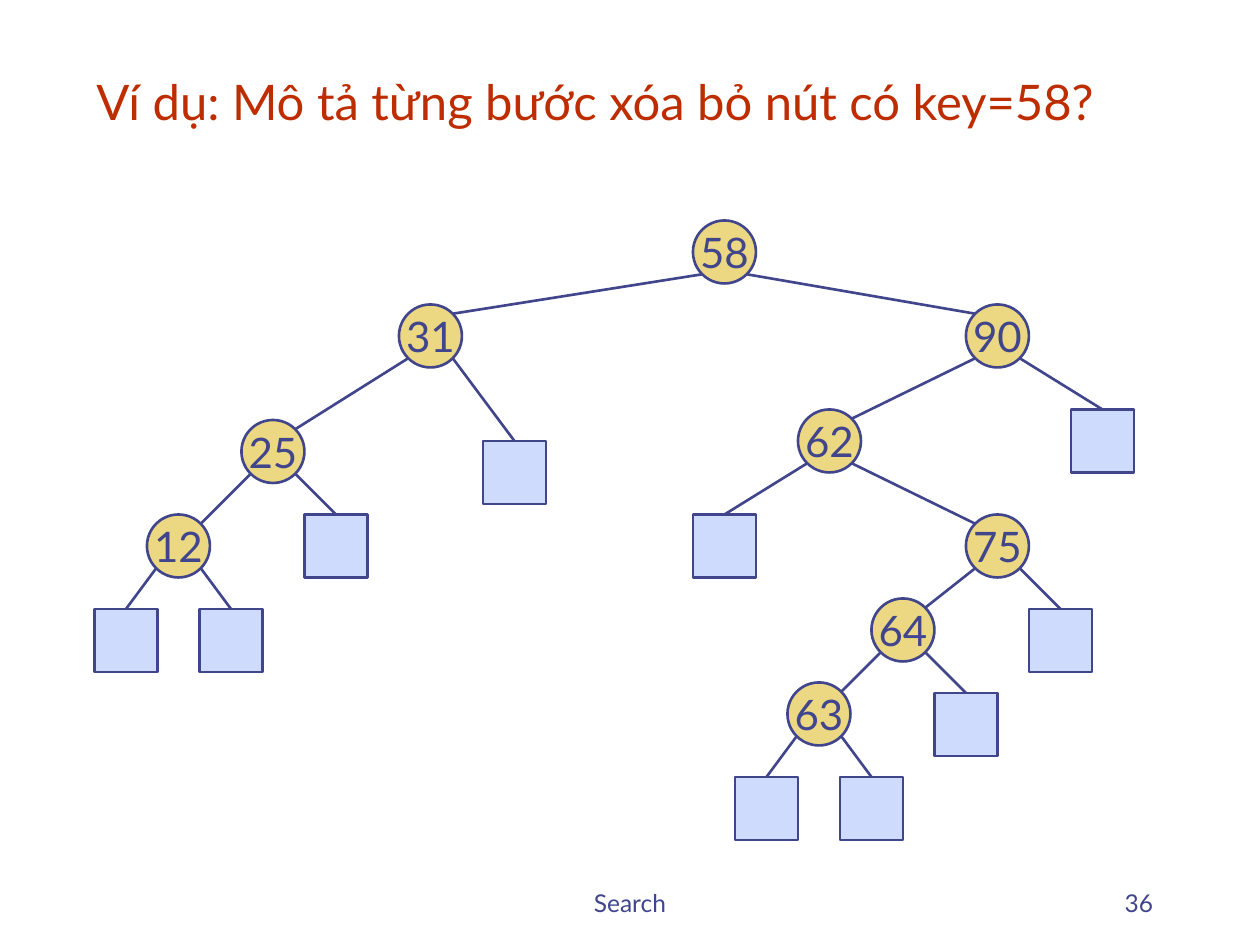
import math
from pptx import Presentation
from pptx.dml.color import RGBColor
from pptx.enum.shapes import MSO_CONNECTOR, MSO_SHAPE
from pptx.enum.text import MSO_ANCHOR, PP_ALIGN
from pptx.oxml.ns import qn
from pptx.util import Pt
from lxml import etree

LEFT, CENTER, RIGHT = PP_ALIGN.LEFT, PP_ALIGN.CENTER, PP_ALIGN.RIGHT
OVAL, SQUARE = MSO_SHAPE.OVAL, MSO_SHAPE.RECTANGLE
MIDDLE, BOTTOM = MSO_ANCHOR.MIDDLE, MSO_ANCHOR.BOTTOM
STRAIGHT = MSO_CONNECTOR.STRAIGHT

COLORS = {"ink": "40458C", "title": "BE2D00", "node": "ECD882", "leaf": "CFDBFD"}
FONT = "Lato"
GRID = 6
SIZE = 36
REACH = SIZE / 2 * math.sin(math.pi / 4)
LEAF_TOP = 0

TEXTS = [
    ("Ví dụ: Mô tả từng bước xóa bỏ nút có key=58?", (48, 24, 612, 54), 28, "title", LEFT),
    ("Search", (246, 492, 228, 36), 14, "ink", CENTER),
    ("36", (516, 492, 150, 36), 14, "ink", RIGHT),
]

# Each entry: key -> (grid column, grid row) of the centre
NODES = {
    58: (69, 24), 31: (41, 32), 90: (95, 32), 25: (26, 43), 62: (79, 42),
    12: (17, 52), 75: (95, 52), 64: (86, 60), 63: (78, 68),
}
CHILDREN = [(58, 31), (58, 90), (31, 25), (90, 62), (25, 12), (62, 75), (75, 64), (64, 63)]
LEAVES = [
    (12, (12, 61)), (12, (22, 61)), (25, (32, 52)), (31, (49, 45)), (62, (69, 52)),
    (90, (105, 42)), (75, (101, 61)), (64, (92, 69)), (63, (73, 77)), (63, (83, 77)),
]


def rgb(name):
    return RGBColor.from_string(COLORS[name])


def write(tf, text, size, color, align, anchor):
    tf.text = text
    tf.vertical_anchor = anchor
    p = tf.paragraphs[0]
    p.alignment = align
    font = p.runs[0].font
    font.name, font.size, font.color.rgb = FONT, Pt(size), rgb(color)


def add_mark(shapes, kind, cell, fill):
    x, y = (GRID * v - SIZE / 2 for v in cell)
    s = shapes.add_shape(kind, Pt(x), Pt(y), Pt(SIZE), Pt(SIZE))
    s.shadow.inherit = False
    s.fill.solid()
    s.fill.fore_color.rgb = rgb(fill)
    s.line.color.rgb = rgb("ink")
    s.line.width = Pt(1.5)
    return s


def add_edge(shapes, parent, cell, end_dx, end_dy):
    px, py = (GRID * v for v in NODES[parent])
    cx, cy = (GRID * v for v in cell)
    side = 1 if cx > px else -1
    edge = shapes.add_connector(STRAIGHT, Pt(px + side * REACH), Pt(py + REACH),
                                Pt(cx - side * end_dx), Pt(cy - end_dy))
    edge.line.color.rgb = rgb("ink")
    edge.line.width = Pt(1.5)
    etree.SubElement(edge._element.spPr, qn("a:effectLst"))
    return edge


prs = Presentation()
prs.slide_width, prs.slide_height = Pt(720), Pt(540)
shapes = prs.slides.add_slide(prs.slide_layouts[6]).shapes

for text, box, size, color, align in TEXTS:
    tf = shapes.add_textbox(*map(Pt, box)).text_frame
    tf.word_wrap = True
    write(tf, text, size, color, align, BOTTOM)

for parent, child in CHILDREN:
    add_edge(shapes, parent, NODES[child], REACH, REACH)

for parent, cell in LEAVES:
    leaf = add_mark(shapes, SQUARE, cell, "leaf")
    add_edge(shapes, parent, cell, 0, SIZE / 2).end_connect(leaf, LEAF_TOP)

for key, cell in NODES.items():
    node = add_mark(shapes, OVAL, cell, "node")
    node.text_frame.word_wrap = False
    write(node.text_frame, str(key), 24, "ink", CENTER, MIDDLE)

prs.save("out.pptx")
